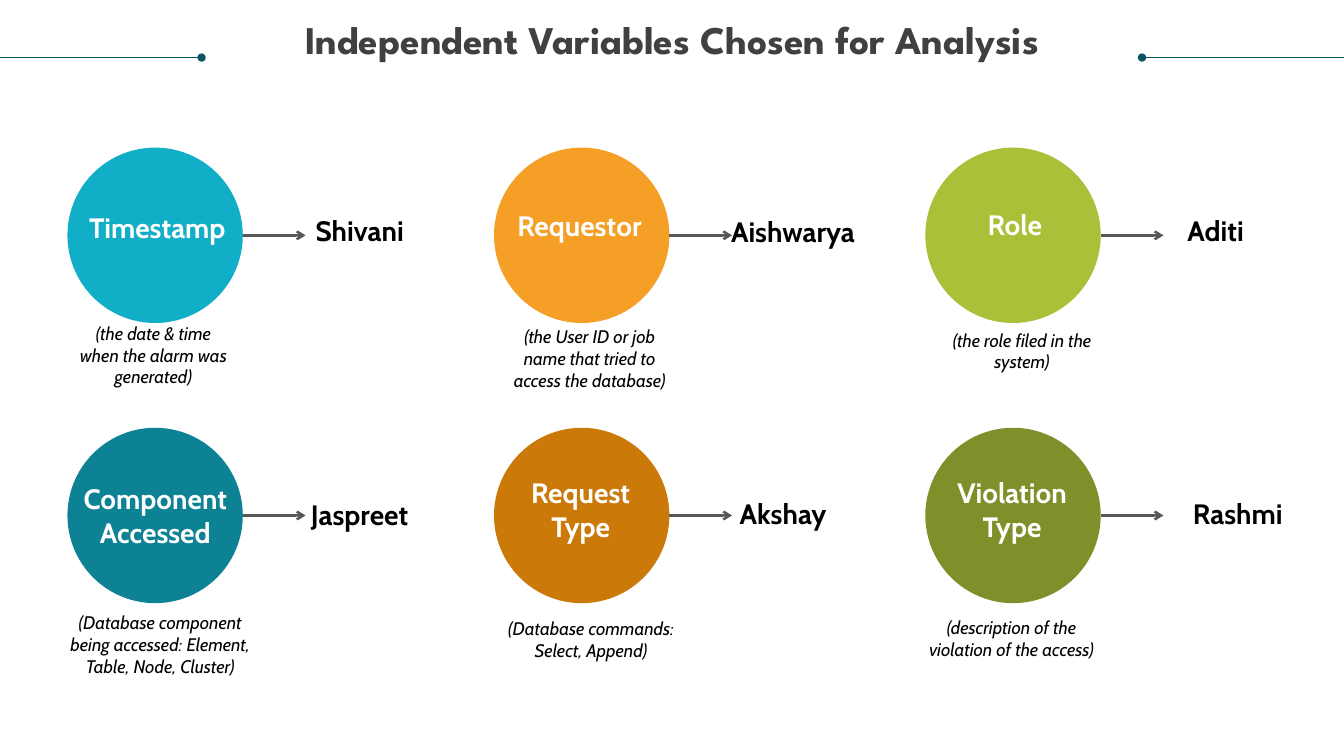
from lxml import etree
from pptx import Presentation
from pptx import util as u
from pptx.dml.color import RGBColor
from pptx.enum import shapes, text
from pptx.oxml.ns import qn

THEME = {
    "title_font": "League Spartan", "body_font": "Cabin",
    "title_size": 28, "label_size": 20, "note_size": 13,
    "title": "404040", "white": "FFFFFF", "black": "000000",
    "rule": "085764", "arrow": "585858",
    "teal": "11AEC7", "dark_teal": "0D8295",
    "orange": "F59F26", "dark_orange": "CB7A09",
    "green": "A9C038", "dark_green": "7F902A",
}


def write(sp, words, font, size, color, bold=False, italic=False):
    tf = sp.text_frame
    tf.word_wrap = True
    tf.auto_size = text.MSO_AUTO_SIZE.SHAPE_TO_FIT_TEXT
    tf.margin_left = tf.margin_top = tf.margin_right = tf.margin_bottom = 0
    tf.vertical_anchor = text.MSO_ANCHOR.MIDDLE
    p = tf.paragraphs[0]
    p.alignment = text.PP_ALIGN.CENTER
    r = p.add_run()
    r.text = words
    r.font.name, r.font.size = THEME[font], u.Pt(THEME[size])
    r.font.bold, r.font.italic = bold, italic
    r.font.color.rgb = RGBColor.from_string(THEME[color])
    return tf


def draw_line(x1, x2, y, color, width, end, kind):
    c = s.shapes.add_connector(shapes.MSO_CONNECTOR.STRAIGHT,
                               u.Cm(x1), u.Cm(y), u.Cm(x2), u.Cm(y))
    c.line.color.rgb = RGBColor.from_string(THEME[color])
    c.line.width = u.Pt(width)
    etree.SubElement(c.line._get_or_add_ln(), qn(end)).set("type", kind)
    etree.SubElement(c._element.spPr, qn("a:effectLst"))


prs = Presentation()
prs.slide_width, prs.slide_height = u.Cm(33.87), u.Cm(19.05)
s = prs.slides.add_slide(prs.slide_layouts[5])

# Title between two rules
title = s.shapes.title
title.left, title.top = u.Cm(0.64), u.Cm(0.53)
title.width, title.height = u.Cm(32.59), u.Cm(2.16)
tf = write(title, "Independent Variables Chosen for Analysis",
           "title_font", "title_size", "title", bold=True)
tf.vertical_anchor = text.MSO_ANCHOR.TOP
tf.auto_size = text.MSO_AUTO_SIZE.NONE
tf.paragraphs[0].line_spacing = 0.9
draw_line(0, 5.08, 1.45, "rule", 0.5, "a:tailEnd", "oval")
draw_line(28.78, 33.87, 1.45, "rule", 0.5, "a:headEnd", "oval")

# Variables: column, row, fill, then (words, left, top[, width], height)
# for the label, the person and the explanation
COLUMNS, ROWS = (1.7, 12.45, 23.32), (3.72, 10.78)
DIAMETER, ARROW, BOX = 4.42, 1.58, 3.81
VARIABLES = [
    (0, 0, "teal", ("Timestamp", 2.06, 5.31, 0.86), ("Shivani", 7.16, 5.38),
     ("(the date & time when the alarm was generated)", 1.96, 8.1, 3.81, 1.68)),
    (1, 0, "orange", ("Requestor", 12.7, 5.26, 0.86), ("Aishwarya", 18.08, 5.41),
     ("(the User ID or job name that tried to access the database)",
      12.83, 8.18, 4.06, 1.68)),
    (2, 0, "green", ("Role", 23.67, 5.23, 0.86), ("Aditi", 28.73, 5.38),
     ("(the role filed in the system)", 23.85, 8.28, 3.81, 1.12)),
    (0, 1, "dark_teal", ("Component Accessed", 2.01, 12.14, 1.7),
     ("Jaspreet", 7.16, 12.52),
     ("(Database component being accessed: Element, Table, Node, Cluster)",
      1.7, 15.39, 4.67, 1.68)),
    (1, 1, "dark_orange", ("Request Type", 12.73, 11.99, 1.7),
     ("Akshay", 17.83, 12.5),
     ("(Database commands: Select, Append)", 12.67, 15.54, 4.45, 1.12)),
    (2, 1, "dark_green", ("Violation Type", 23.6, 11.99, 1.7),
     ("Rashmi", 29.29, 12.5),
     ("(description of the violation of the access)", 23.14, 15.52, 4.7, 1.12)),
]

for col, row, fill, label, person, note in VARIABLES:
    # Circle and its arrow
    x, y = COLUMNS[col], ROWS[row]
    sp = s.shapes.add_shape(shapes.MSO_SHAPE.OVAL, u.Cm(x), u.Cm(y),
                            u.Cm(DIAMETER), u.Cm(DIAMETER))
    sp.shadow.inherit = False
    sp.fill.solid()
    sp.fill.fore_color.rgb = RGBColor.from_string(THEME[fill])
    sp.line.fill.background()
    right = x + DIAMETER
    draw_line(right, right + ARROW, y + DIAMETER / 2, "arrow", 1.75,
              "a:tailEnd", "arrow")

    # Label in the circle and person beside it
    for (words, left, top, height), color in ((label, "white"),
                                              ((*person, 0.86), "black")):
        sp = s.shapes.add_textbox(u.Cm(left), u.Cm(top), u.Cm(BOX), u.Cm(height))
        write(sp, words, "body_font", "label_size", color, bold=True)

    # Explanation below
    words, *place = note
    sp = s.shapes.add_textbox(*map(u.Cm, place))
    write(sp, words, "body_font", "note_size", "black", italic=True)

prs.save("out.pptx")
